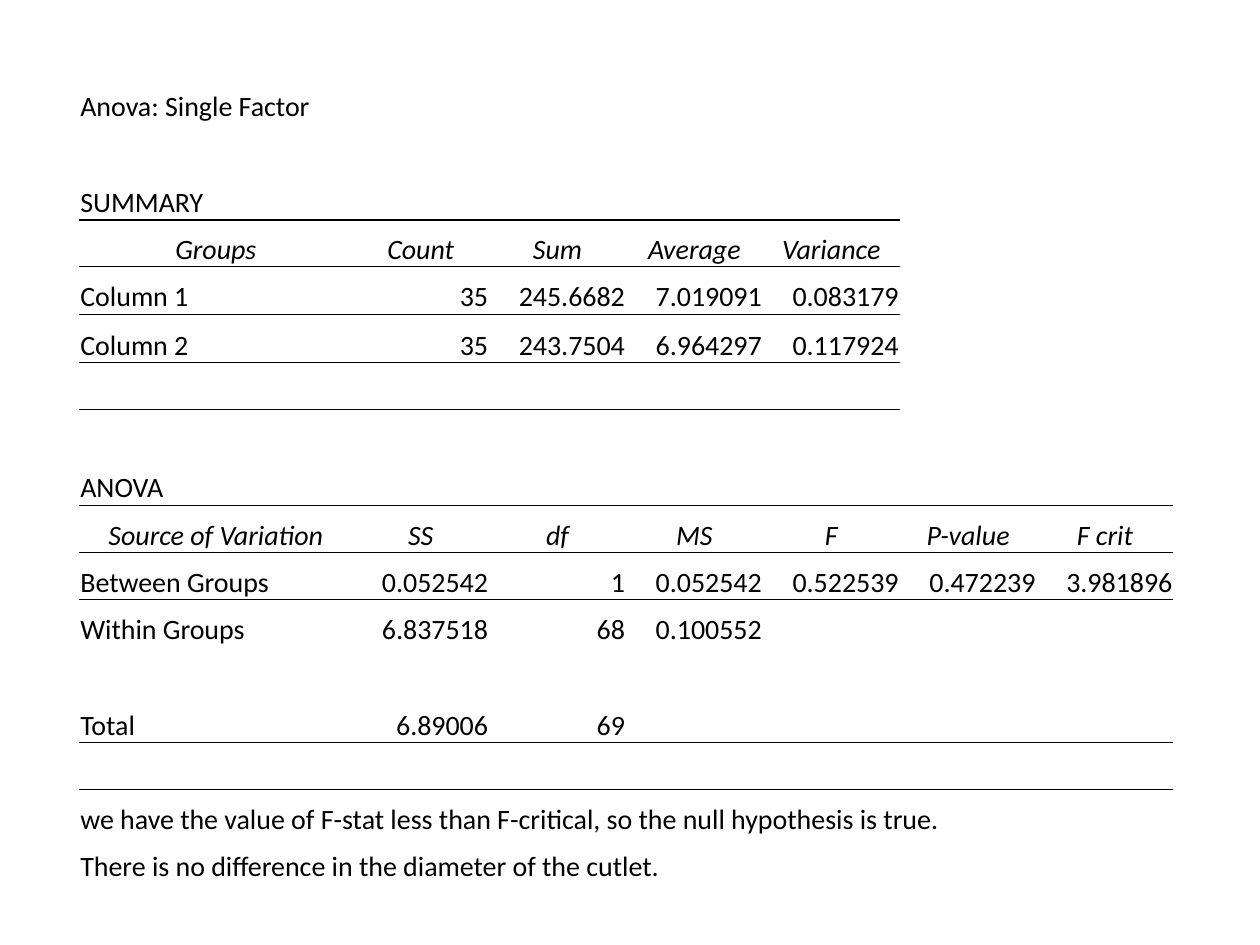
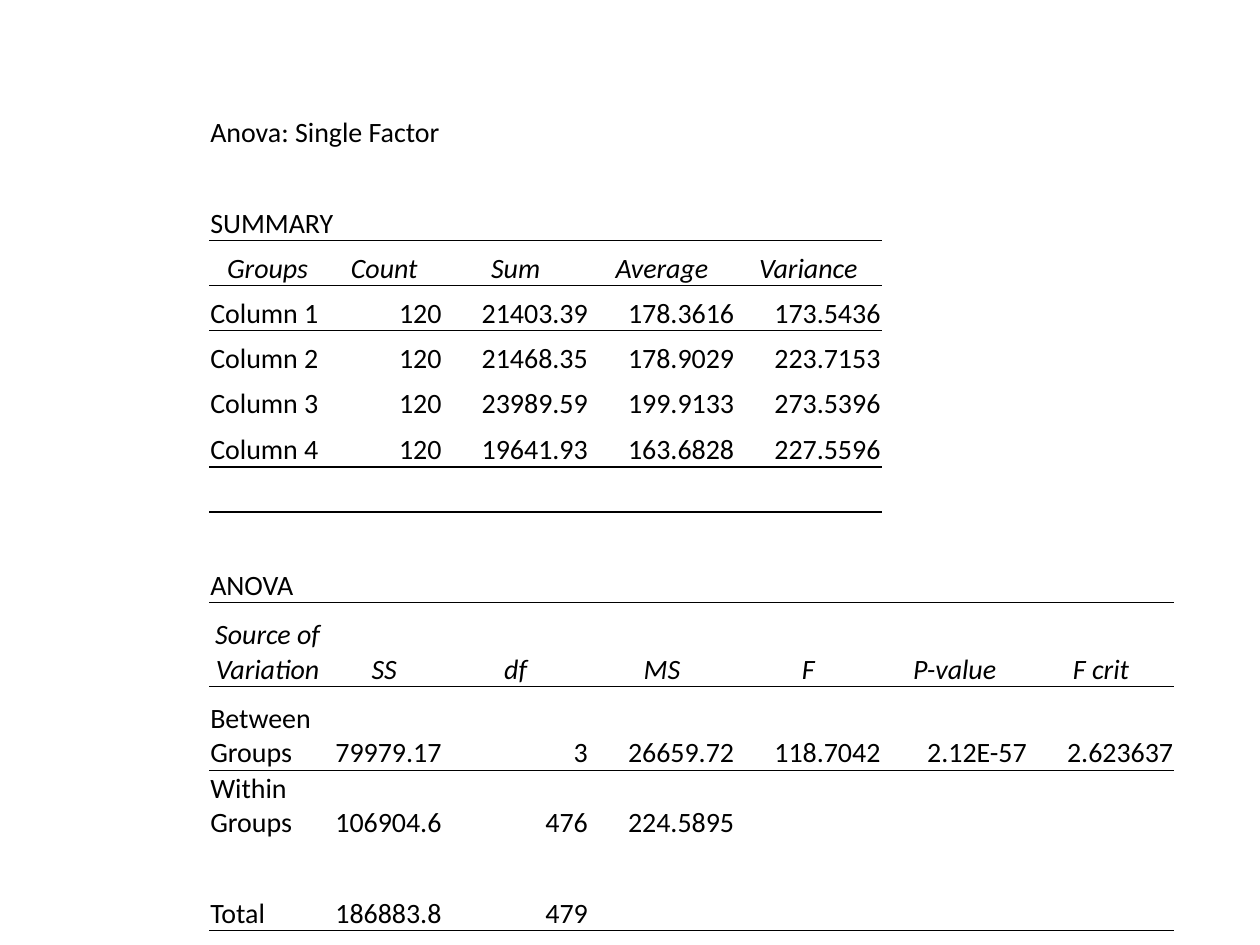
from dataclasses import dataclass, field

from lxml.etree import SubElement
from pptx import Presentation
from pptx.dml.color import RGBColor
from pptx.enum.text import MSO_ANCHOR, PP_ALIGN
from pptx.oxml.ns import qn
from pptx.table import Table
from pptx.util import Cm, Pt

COLOURS = {"ink": "000000"}
PLAIN_STYLE = "{2D5ABB26-0587-4C30-8999-92F81FD0307C}"
HEAVY, THIN = Pt(1), Pt(0.5)
CELL_FORMAT = {
    "margin_left": Cm(0.02),
    "margin_right": Cm(0.02),
    "margin_top": Cm(0.02),
    "margin_bottom": Cm(0),
    "vertical_anchor": MSO_ANCHOR.BOTTOM,
}
FONT_FORMAT = {"name": "Calibri", "size": Pt(16)}
TABLE_FLAGS = {"first_row": False, "horz_banding": False}
SUMMARY_HEADERS = ["Groups", "Count", "Sum", "Average", "Variance"]
ANOVA_HEADERS = ["Source of Variation", "SS", "df", "MS", "F", "P-value", "F crit"]


@dataclass
class Section:
    title: str
    headers: list[str]
    records: list[list[str]]


@dataclass
class Note:
    text: str
    columns: int


@dataclass
class Report:
    left: float
    top: float
    widths: list[float]
    row_height: float
    ruled_height: float
    summary: Section
    anova: Section
    first_column: int = 0
    title_columns: int = 1
    special_heights: dict[int, float] = field(default_factory=dict)
    notes: list[Note] = field(default_factory=list)


REPORTS = [
    Report(
        left=1.6, top=1.55, widths=[5.5] + [2.76] * 6,
        row_height=0.95, ruled_height=0.98,
        summary=Section("SUMMARY", SUMMARY_HEADERS, [
            ["Column 1", "35", "245.6682", "7.019091", "0.083179"],
            ["Column 2", "35", "243.7504", "6.964297", "0.117924"],
        ]),
        anova=Section("ANOVA", ANOVA_HEADERS, [
            ["Between Groups", "0.052542", "1", "0.052542", "0.522539", "0.472239", "3.981896"],
            ["Within Groups", "6.837518", "68", "0.100552"],
            [],
            ["Total", "6.89006", "69"],
        ]),
        notes=[
            Note("we have the value of F-stat less than F-critical, so the null hypothesis is true.", 7),
            Note("There is no difference in the diameter of the cutlet.", 4),
        ],
    ),
    Report(
        left=1.27, top=2.11, widths=[2.95] + [2.35] * 2 + [2.95] * 5,
        row_height=0.91, ruled_height=0.92,
        summary=Section("SUMMARY", SUMMARY_HEADERS, [
            ["Column 1", "120", "21403.39", "178.3616", "173.5436"],
            ["Column 2", "120", "21468.35", "178.9029", "223.7153"],
            ["Column 3", "120", "23989.59", "199.9133", "273.5396"],
            ["Column 4", "120", "19641.93", "163.6828", "227.5596"],
        ]),
        anova=Section("ANOVA", ANOVA_HEADERS, [
            ["Between Groups", "79979.17", "3", "26659.72", "118.7042", "2.12E-57", "2.623637"],
            ["Within Groups", "106904.6", "476", "224.5895"],
            [],
            ["Total", "186883.8", "479"],
        ]),
        first_column=1, title_columns=2,
        special_heights={11: 1.69, 12: 1.69, 13: 1.4},
    ),
]


def write_cell(table: Table, row: int, column: int, text: str,
               align: PP_ALIGN = PP_ALIGN.LEFT, italic: bool = False) -> None:
    para = table.cell(row, column).text_frame.paragraphs[0]
    para.alignment = align
    span = para.add_run()
    span.text = text
    for name, value in (FONT_FORMAT | {"italic": italic}).items():
        setattr(span.font, name, value)
    span.font.color.rgb = RGBColor.from_string(COLOURS["ink"])


def merge_across(table: Table, row: int, column: int, count: int) -> None:
    if count > 1:
        table.cell(row, column).merge(table.cell(row, column + count - 1))


def add_border(table: Table, row: int, column: int, side: str, width: int) -> None:
    properties = table.cell(row, column)._tc.get_or_add_tcPr()
    line = SubElement(properties, qn(f"a:{side}"), w=str(width))
    fill = SubElement(line, qn("a:solidFill"))
    SubElement(fill, qn("a:srgbClr"), val=COLOURS["ink"])


def draw_rule(table: Table, row: int, first: int, count: int, width: int) -> None:
    for column in range(first, first + count):
        add_border(table, row, column, "lnB", width)
        if row + 1 < len(table.rows):
            add_border(table, row + 1, column, "lnT", width)


def draw_section(table: Table, section: Section, top: int, report: Report) -> int:
    first, count = report.first_column, len(section.headers)
    last = top + 1 + len(section.records)
    write_cell(table, top, first, section.title)
    for offset, header in enumerate(section.headers):
        write_cell(table, top + 1, first + offset, header, PP_ALIGN.CENTER, True)
    for row, record in enumerate(section.records, top + 2):
        for offset, value in enumerate(record):
            align = PP_ALIGN.RIGHT if offset else PP_ALIGN.LEFT
            write_cell(table, row, first + offset, value, align)
    for row, width in ((top, HEAVY), (top + 1, THIN), (last, HEAVY)):
        draw_rule(table, row, first, count, width)
    for row in (top, last):
        table.rows[row].height = Cm(report.ruled_height)
    return last


def draw_report(deck: Presentation, report: Report) -> None:
    page = deck.slides.add_slide(deck.slide_layouts[6])
    body_rows = len(report.summary.records) + len(report.anova.records)
    note_rows = len(report.notes) + 1 if report.notes else 0
    row_count = 8 + body_rows + note_rows
    frame = page.shapes.add_table(
        row_count, len(report.widths), Cm(report.left), Cm(report.top),
        Cm(sum(report.widths)), Cm(report.row_height * row_count))
    table = frame.table
    table._tbl.tblPr.find(qn("a:tableStyleId")).text = PLAIN_STYLE
    for name, value in TABLE_FLAGS.items():
        setattr(table, name, value)
    for column, width in zip(table.columns, report.widths):
        column.width = Cm(width)
    for index, row in enumerate(table.rows):
        row.height = Cm(report.special_heights.get(index, report.row_height))

    first = report.first_column
    write_cell(table, 0, first, "Anova: Single Factor")
    for row in (0, 2):
        merge_across(table, row, first, report.title_columns)
    summary_end = draw_section(table, report.summary, 2, report)
    anova_end = draw_section(table, report.anova, summary_end + 3, report)
    for row, note in enumerate(report.notes, anova_end + 2):
        write_cell(table, row, first, note.text)
        merge_across(table, row, first, note.columns)
    for cell in table.iter_cells():
        cell.fill.background()
        for name, value in CELL_FORMAT.items():
            setattr(cell, name, value)


def main() -> None:
    deck = Presentation()
    deck.slide_width, deck.slide_height = Cm(25.4), Cm(19.05)
    for report in REPORTS:
        draw_report(deck, report)
    deck.save("out.pptx")


if __name__ == "__main__":
    main()
